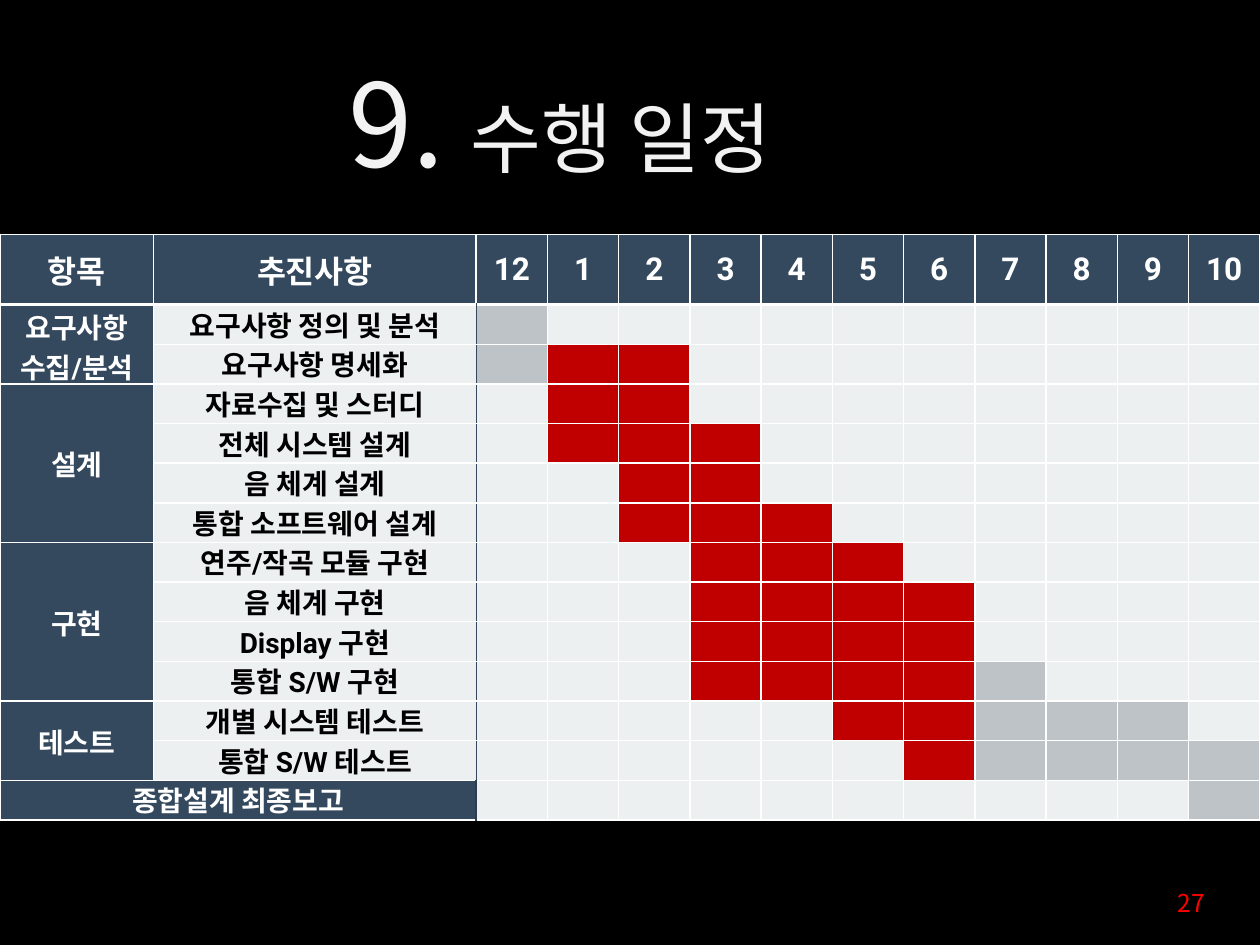
from dataclasses import dataclass

from lxml.etree import SubElement
from pptx import Presentation
from pptx.dml.color import RGBColor
from pptx.enum.text import MSO_ANCHOR, MSO_AUTO_SIZE, PP_ALIGN
from pptx.oxml.ns import qn
from pptx.util import Inches, Pt


@dataclass(frozen=True)
class Theme:
    back: str = "000000"
    title: str = "F2F2F2"
    head: str = "34495E"
    edge: str = "2C3E50"
    pale: str = "ECF0F1"
    done: str = "C00000"
    plan: str = "BDC3C7"
    white: str = "FFFFFF"
    black: str = "000000"
    page: str = "FF0000"
    hangul: str = "Noto Sans CJK KR"
    latin: str = "Roboto"
    digit: int = 66
    large: int = 44
    label: int = 18
    body: int = 16
    small: int = 14


THEME = Theme()
UNIT = Inches(0.1)  # the slide is a grid of 100 columns by 75 rows
COLS, ROWS = 100, 75

MONTHS = ["12", *map(str, range(1, 11))]
# One mark per month: R is red, G is grey, a dot is open.
GROUPS = [
    ("요구사항\n수집/분석", [
        ("요구사항 정의 및 분석", "G.........."),
        ("요구사항 명세화", "GRR........"),
    ]),
    ("설계", [
        ("자료수집 및 스터디", ".RR........"),
        ("전체 시스템 설계", ".RRR......."),
        ("음 체계 설계", "..RR......."),
        ("통합 소프트웨어 설계", "..RRR......"),
    ]),
    ("구현", [
        ("연주/작곡 모듈 구현", "...RRR....."),
        ("음 체계 구현", "...RRRR...."),
        ("Display 구현", "...RRRR...."),
        ("통합 S/W 구현", "...RRRRG..."),
    ]),
    ("테스트", [
        ("개별 시스템 테스트", ".....RRGGG."),
        ("통합 S/W 테스트", "......RGGGG"),
    ]),
]
FINAL = ("종합설계 최종보고", "..........G")
FILLS = {"R": THEME.done, "G": THEME.plan, ".": THEME.pale}


def grid(*cells):
    return [round(cell * UNIT) for cell in cells]


def add_run(para, text, size, color, latin=THEME.hangul, bold=False):
    run = para.add_run()
    run.text = text
    for name, value in {"name": latin, "size": Pt(size), "bold": bold}.items():
        setattr(run.font, name, value)
    run.font.color.rgb = RGBColor.from_string(color)
    SubElement(run.font._element, qn("a:ea"), typeface=THEME.hangul)


def add_lines(cell, edges):
    """Draw the four cell edges; edges overrides the white default by side."""
    props = cell._tc.get_or_add_tcPr()
    for side in "LRTB":
        color, width = edges.get(side, (THEME.white, 1))
        line = SubElement(props, qn(f"a:ln{side}"), w=str(Pt(width)))
        fill = SubElement(line, qn("a:solidFill"))
        SubElement(fill, qn("a:srgbClr"), val=color)


def set_cell(cell, fill, edges, text="", size=THEME.body, color=THEME.white,
             latin=THEME.latin, pitch=0.92):
    add_lines(cell, edges)
    cell.fill.solid()
    cell.fill.fore_color.rgb = RGBColor.from_string(fill)
    form = {"margin_left": Inches(0.01), "margin_right": Inches(0.01),
            "margin_top": Inches(0.01), "margin_bottom": 0,
            "vertical_anchor": MSO_ANCHOR.MIDDLE}
    for name, value in form.items():
        setattr(cell, name, value)
    frame = cell.text_frame
    for index, part in enumerate(text.split("\n")):
        para = frame.add_paragraph() if index else frame.paragraphs[0]
        para.alignment = PP_ALIGN.CENTER
        if part:
            para.line_spacing = pitch
            add_run(para, part, size, color, latin, True)
        else:
            SubElement(para._p, qn("a:endParaRPr"), sz=str(THEME.small * 100))


def add_title(slide, box):
    frame = slide.shapes.add_textbox(*grid(*box)).text_frame
    frame.word_wrap = False
    frame.auto_size = MSO_AUTO_SIZE.SHAPE_TO_FIT_TEXT
    para = frame.paragraphs[0]
    add_run(para, "9. ", THEME.digit, THEME.title)
    add_run(para, "수행 일정", THEME.large, THEME.title)


def fill_months(table, row, marks, edges, first):
    """Colour the months of a row; first holds the edges of its first month."""
    for index, mark in enumerate(marks):
        own = {**edges, **(first if index == 0 else {})}
        set_cell(table.cell(row, index + 2), FILLS[mark], own)


def add_plan(slide, box):
    left, top, width, height = box
    count = sum(len(tasks) for name, tasks in GROUPS) + 2
    table = slide.shapes.add_table(count, len(MONTHS) + 2, *grid(*box)).table
    table.first_row = table.horz_banding = False

    lead = [0.122 * width, 0.256 * width]
    month = (width - sum(lead)) / len(MONTHS)
    for column, size in zip(table.columns, lead + [month] * len(MONTHS)):
        column.width = round(size * UNIT)
    head = 0.12 * height
    step = (height - head) / (count - 1)
    for line, size in zip(table.rows, [head] + [step] * (count - 1)):
        line.height = round(size * UNIT)

    thick = (THEME.white, 1.5)
    side = (THEME.head, 0.75)
    for index, text in enumerate(["항목", "추진사항", *MONTHS]):
        latin = THEME.hangul if index < 2 else THEME.latin
        set_cell(table.cell(0, index), THEME.head, {"B": thick}, text,
                 THEME.label, latin=latin, pitch=1)

    row = 1
    for name, tasks in GROUPS:
        start = row
        for task, marks in tasks:
            edges = {"T": thick} if row == 1 else {}
            label = name if row == start else ""
            set_cell(table.cell(row, 0), THEME.head, edges, label, pitch=1)
            set_cell(table.cell(row, 1), THEME.pale, {**edges, "R": side},
                     task, color=THEME.black)
            fill_months(table, row, marks, edges, {"L": side})
            row += 1
        table.cell(start, 0).merge(table.cell(row - 1, 0))

    text, marks = FINAL
    edge = (THEME.edge, 1.5)
    set_cell(table.cell(row, 0), THEME.head, {"R": edge}, text)
    set_cell(table.cell(row, 1), THEME.head, {})
    fill_months(table, row, marks, {}, {"L": edge})
    table.cell(row, 0).merge(table.cell(row, 1))


def add_page(slide, box):
    frame = slide.shapes.add_textbox(*grid(*box)).text_frame
    frame.word_wrap = True
    para = frame.paragraphs[0]
    para.alignment = PP_ALIGN.RIGHT
    add_run(para, "27", THEME.small, THEME.page)


def main():
    deck = Presentation()
    deck.slide_width, deck.slide_height = grid(COLS, ROWS)
    slide = deck.slides.add_slide(deck.slide_layouts[6])
    back = slide.background.fill
    back.solid()
    back.fore_color.rgb = RGBColor.from_string(THEME.back)
    add_title(slide, (26.7, 3.6, 41.4, 12.1))
    add_plan(slide, (0, 18.6, COLS, 46.5))
    add_page(slide, (73.3, 70, 23.3, 5.2))
    deck.save("out.pptx")


if __name__ == "__main__":
    main()
